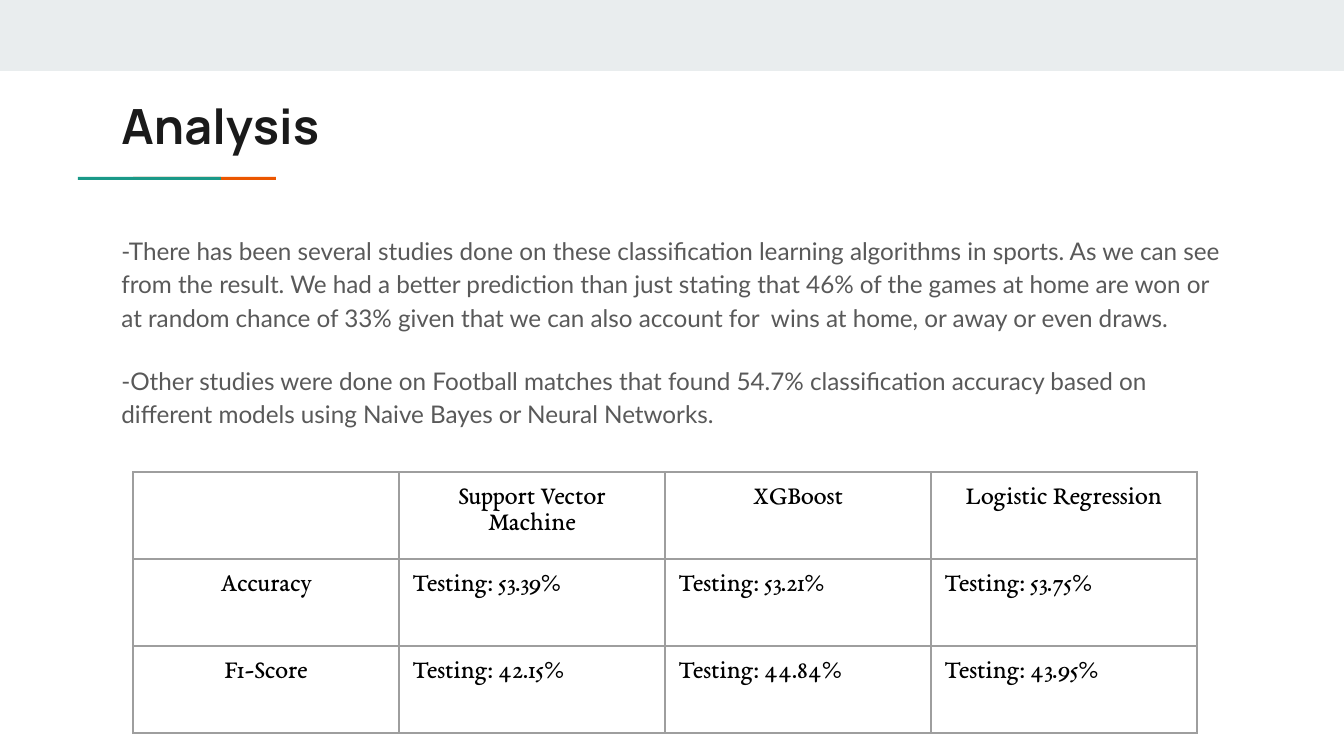
from dataclasses import dataclass

from lxml.etree import SubElement
from pptx import Presentation
from pptx.dml.color import RGBColor
from pptx.enum.shapes import MSO_SHAPE
from pptx.enum.text import MSO_ANCHOR, MSO_AUTO_SIZE, PP_ALIGN
from pptx.oxml.ns import qn
from pptx.util import Inches, Pt

TITLE = "Analysis"
BODY = [
    "-There has been several studies done on these classification learning "
    "algorithms in sports. As we can see from the result. We had a better "
    "prediction than just stating that 46% of the games at home are won or at "
    "random chance of 33% given that we can also account for  wins at home, "
    "or away or even draws.",
    "-Other studies were done on Football matches that found 54.7% "
    "classification accuracy based on different models using Naive Bayes or "
    "Neural Networks.",
]
RESULTS = [
    ["", "Support Vector Machine", "XGBoost", "Logistic Regression"],
    ["Accuracy", "Testing: 53.39%", "Testing: 53.21%", "Testing: 53.75%"],
    ["F1-Score", "Testing: 42.15%", "Testing: 44.84%", "Testing: 43.95%"],
]


@dataclass(frozen=True)
class Theme:
    band: str = "E9EDEE"
    teal: str = "1A9988"
    orange: str = "EB5600"
    grid: str = "9E9E9E"
    # font name, size in points, colour, bold
    title: tuple = ("Manrope", 26, "1A1A1A", True)
    body: tuple = ("Lato", 13, "595959", False)
    cell: tuple = ("EB Garamond", 14, "000000", False)


THEME = Theme()
SLIDE_W, SLIDE_H = 1344, 756
INSET = Inches(0.1)
COL_W, ROW_H = 266, 87
# left, top, width, height
TITLE_BOX = (108, 83, 1130, 79)
BODY_BOX = (108, 218, 1130, 421)
TABLE_AT = (133, 472)
# the teal rule overlaps the equally long orange one
BARS = [
    ((0, 0, SLIDE_W, 71), THEME.band),
    ((133, 177, 143, 3), THEME.orange),
    ((78, 177, 143, 3), THEME.teal),
]


def px(n):
    return round(n * 914400 / 134.4)


def style(p, look):
    name, size, color, bold = look
    p.font.name, p.font.size, p.font.bold = name, Pt(size), bold
    p.font.color.rgb = RGBColor.from_string(color)


def set_margins(target):
    target.margin_left = target.margin_right = INSET
    target.margin_top = target.margin_bottom = INSET


def add_bar(s, box, color):
    bar = s.shapes.add_shape(MSO_SHAPE.RECTANGLE, *map(px, box))
    bar.shadow.inherit = False
    bar.fill.solid()
    bar.fill.fore_color.rgb = RGBColor.from_string(color)
    bar.line.fill.background()


def fill_placeholder(sp, box, paragraphs, look):
    sp.left, sp.top, sp.width, sp.height = map(px, box)
    tf = sp.text_frame
    tf.word_wrap = True
    tf.auto_size = MSO_AUTO_SIZE.NONE
    tf.vertical_anchor = MSO_ANCHOR.TOP
    set_margins(tf)
    for i, text in enumerate(paragraphs):
        p = tf.add_paragraph() if i else tf.paragraphs[0]
        p.text = text
        p.alignment = PP_ALIGN.LEFT
        p.space_before = Pt(16 if i else 0)
        style(p, look)
    return tf


def set_borders(cell):
    tc_pr = cell._tc.get_or_add_tcPr()
    for i, side in enumerate(("lnL", "lnR", "lnT", "lnB")):
        ln = SubElement(tc_pr, qn(f"a:{side}"), w=str(Pt(0.75)))
        tc_pr.insert(i, ln)  # borders come before the fill
        fill = SubElement(ln, qn("a:solidFill"))
        SubElement(fill, qn("a:srgbClr"), val=THEME.grid)


def add_results(s):
    rows, cols = len(RESULTS), len(RESULTS[0])
    box = (*TABLE_AT, cols * COL_W, rows * ROW_H)
    table = s.shapes.add_table(rows, cols, *map(px, box)).table
    table.first_row = table.horz_banding = False
    for r, row in enumerate(RESULTS):
        for c, text in enumerate(row):
            cell = table.cell(r, c)
            cell.fill.background()
            set_margins(cell)
            set_borders(cell)
            p = cell.text_frame.paragraphs[0]
            p.text = text
            is_heading = r == 0 or c == 0
            p.alignment = PP_ALIGN.CENTER if is_heading else PP_ALIGN.LEFT
            style(p, THEME.cell)


def main():
    prs = Presentation()
    prs.slide_width, prs.slide_height = px(SLIDE_W), px(SLIDE_H)
    s = prs.slides.add_slide(prs.slide_layouts[1])
    for box, color in BARS:
        add_bar(s, box, color)
    title, body = s.placeholders
    fill_placeholder(title, TITLE_BOX, [TITLE], THEME.title)
    tf = fill_placeholder(body, BODY_BOX, BODY, THEME.body)
    for p in tf.paragraphs:
        p.line_spacing = 1.15
        p_pr = p._p.get_or_add_pPr()
        p_pr.set("marL", "0")
        p_pr.set("indent", "0")
        p_pr.insert_element_before(
            p_pr.makeelement(qn("a:buNone")), "a:tabLst", "a:defRPr", "a:extLst")
    add_results(s)
    prs.save("out.pptx")


if __name__ == "__main__":
    main()
